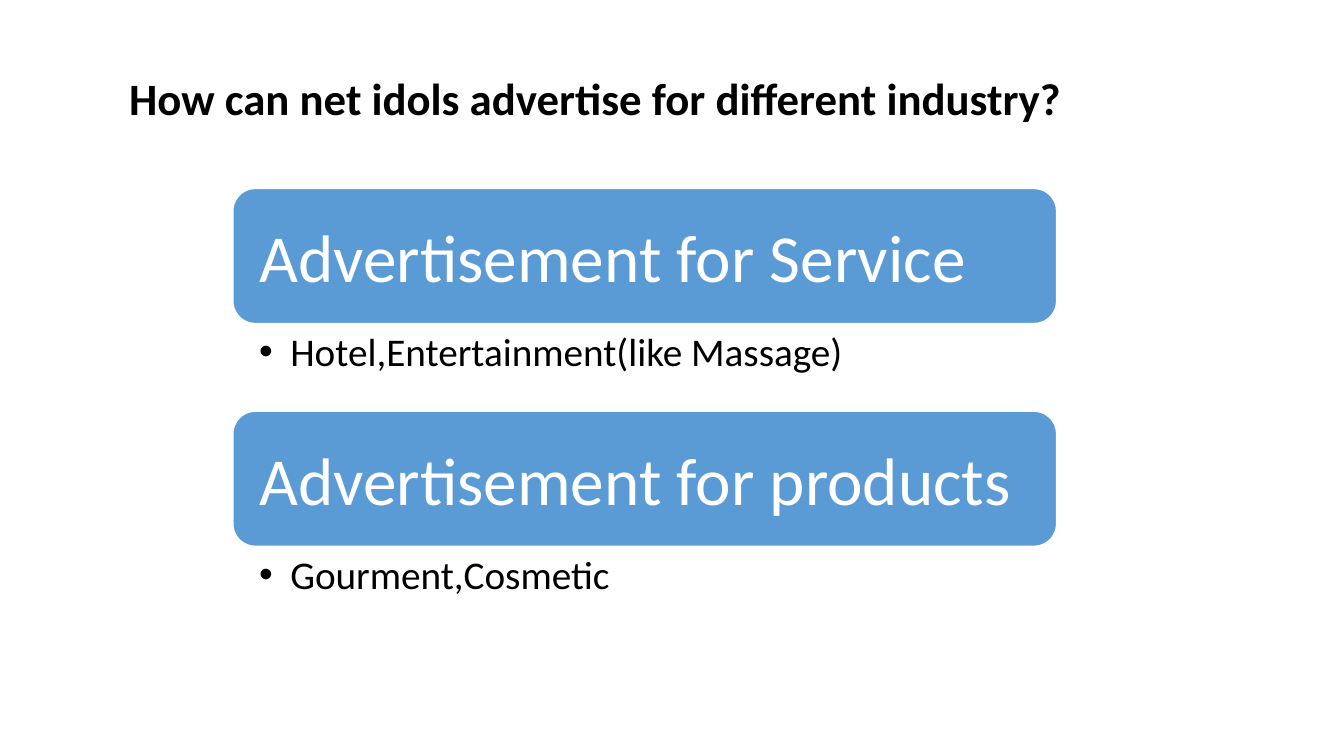
import pptx
import pptx.util
import pptx.dml.color
import pptx.enum.shapes
import pptx.enum.text
from lxml import etree

RGBColor = pptx.dml.color.RGBColor
Inches = pptx.util.Inches
Pt = pptx.util.Pt
Align = pptx.enum.text.PP_ALIGN
Anchor = pptx.enum.text.MSO_ANCHOR

BLUE = RGBColor(0x5B, 0x9B, 0xD5)
WHITE = RGBColor(0xFF, 0xFF, 0xFF)
BLACK = RGBColor(0x00, 0x00, 0x00)
NS = "http://schemas.openxmlformats.org/drawingml/2006/main"


def write(frame, text, size, color=BLACK, bold=False, bullet=None,
          anchor=Anchor.TOP, inset=(0.1, 0.05, 0.1, 0.05)):
    """Fill a text frame with one formatted paragraph."""
    frame.word_wrap = True
    frame.auto_size = pptx.enum.text.MSO_AUTO_SIZE.NONE
    frame.vertical_anchor = anchor
    (frame.margin_left, frame.margin_top,
     frame.margin_right, frame.margin_bottom) = map(Inches, inset)
    para = frame.paragraphs[0]
    if bullet:
        para.level = 1
        props = para._p.get_or_add_pPr()
        props.set("marL", str(Inches(0.31)))
        props.set("indent", str(-Inches(0.31)))
        etree.SubElement(props, f"{{{NS}}}buFont", typeface="Arial")
        etree.SubElement(props, f"{{{NS}}}buChar", char=bullet)
    para.alignment = Align.LEFT
    para.space_before = Pt(0)
    run = para.add_run()
    run.text = text
    font = run.font
    font.name, font.size, font.bold = "Calibri", Pt(size), bold
    font.color.rgb = color


class Deck:
    """Holds the style and the current slide."""
    left, width = 2.31, 8.17
    bar, list = 1.34, 0.87

    def __init__(self):
        self.show = pptx.Presentation()
        self.show.slide_width = Inches(13.33)
        self.show.slide_height = Inches(7.5)
        # Layout with a title and two lists
        self.slide = self.show.slides.add_slide(self.show.slide_layouts[3])

    def place(self, shape, *box):
        shape.left, shape.top, shape.width, shape.height = map(Inches, box)

    def title(self, text):
        shape = self.slide.shapes.title
        self.place(shape, 1.18, 0.65, 9.55, 0.64)
        write(shape.text_frame, text, 32, bold=True)

    def head(self, text, top):
        box = map(Inches, (self.left, top, self.width, self.bar))
        kind = pptx.enum.shapes.MSO_SHAPE.ROUNDED_RECTANGLE
        shape = self.slide.shapes.add_shape(kind, *box)
        shape.shadow.inherit = False
        shape.fill.solid()
        shape.fill.fore_color.rgb = BLUE
        shape.line.color.rgb = WHITE
        shape.line.width = Pt(1)
        write(shape.text_frame, text, 48, color=WHITE,
              anchor=Anchor.MIDDLE, inset=(0.2,) * 4)

    def points(self, slot, text, top):
        shape = self.slide.placeholders[slot]
        self.place(shape, self.left, top, self.width, self.list)
        write(shape.text_frame, text, 28, bullet="•",
              inset=(0.26, 0.04, 0.22, 0.04))


def main():
    deck = Deck()

    # Title
    deck.title("How can net idols advertise for different industry?")

    # Stacked groups: a bar with its list below
    groups = [
        ("Advertisement for Service", "Hotel,Entertainment(like Massage)"),
        ("Advertisement for products", "Gourment,Cosmetic"),
    ]
    for i, (head, point) in enumerate(groups):
        top = 1.87 + i * (deck.bar + deck.list)
        deck.head(head, top)
        deck.points(i + 1, point, top + deck.bar)

    deck.show.save("out.pptx")


if __name__ == "__main__":
    main()
